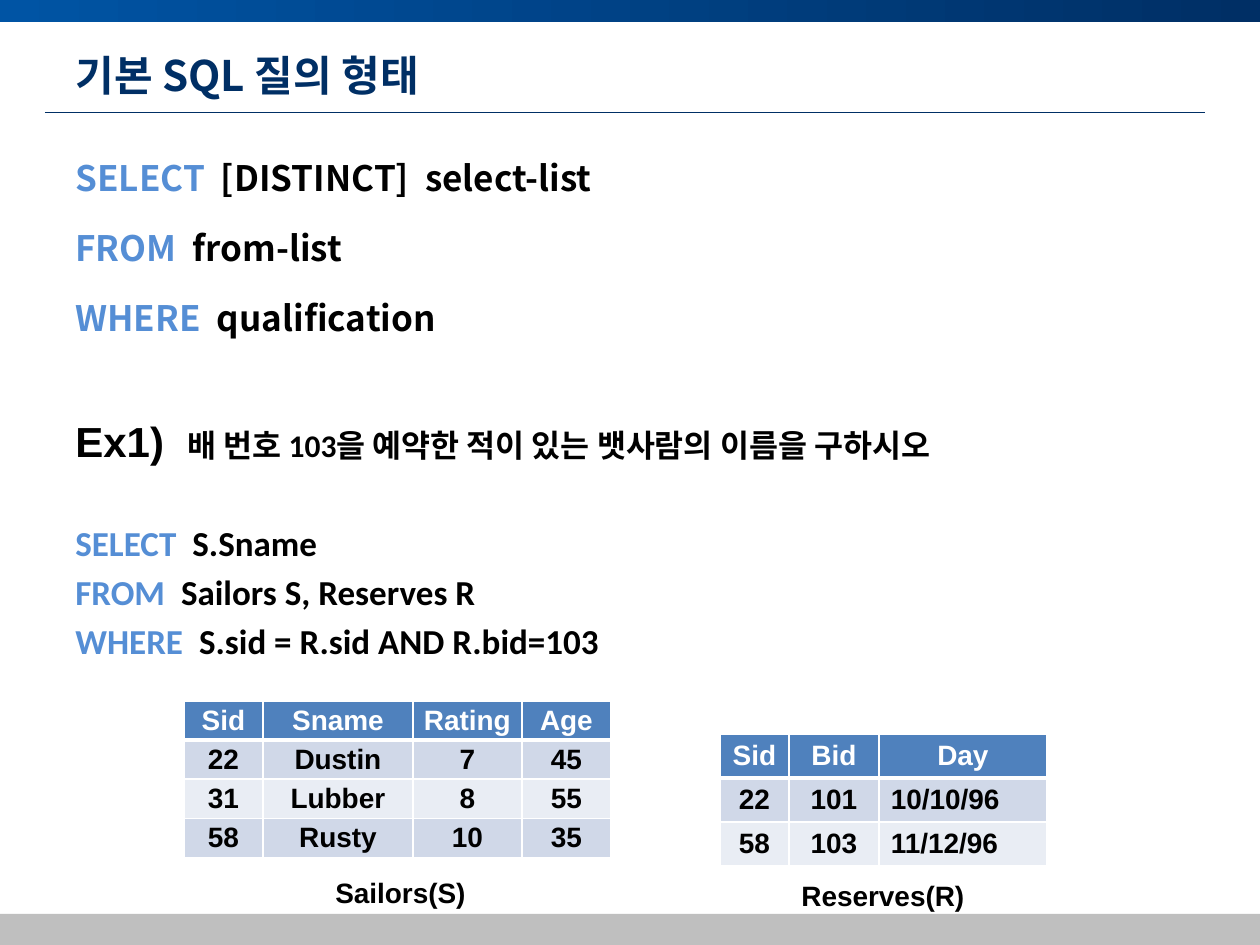
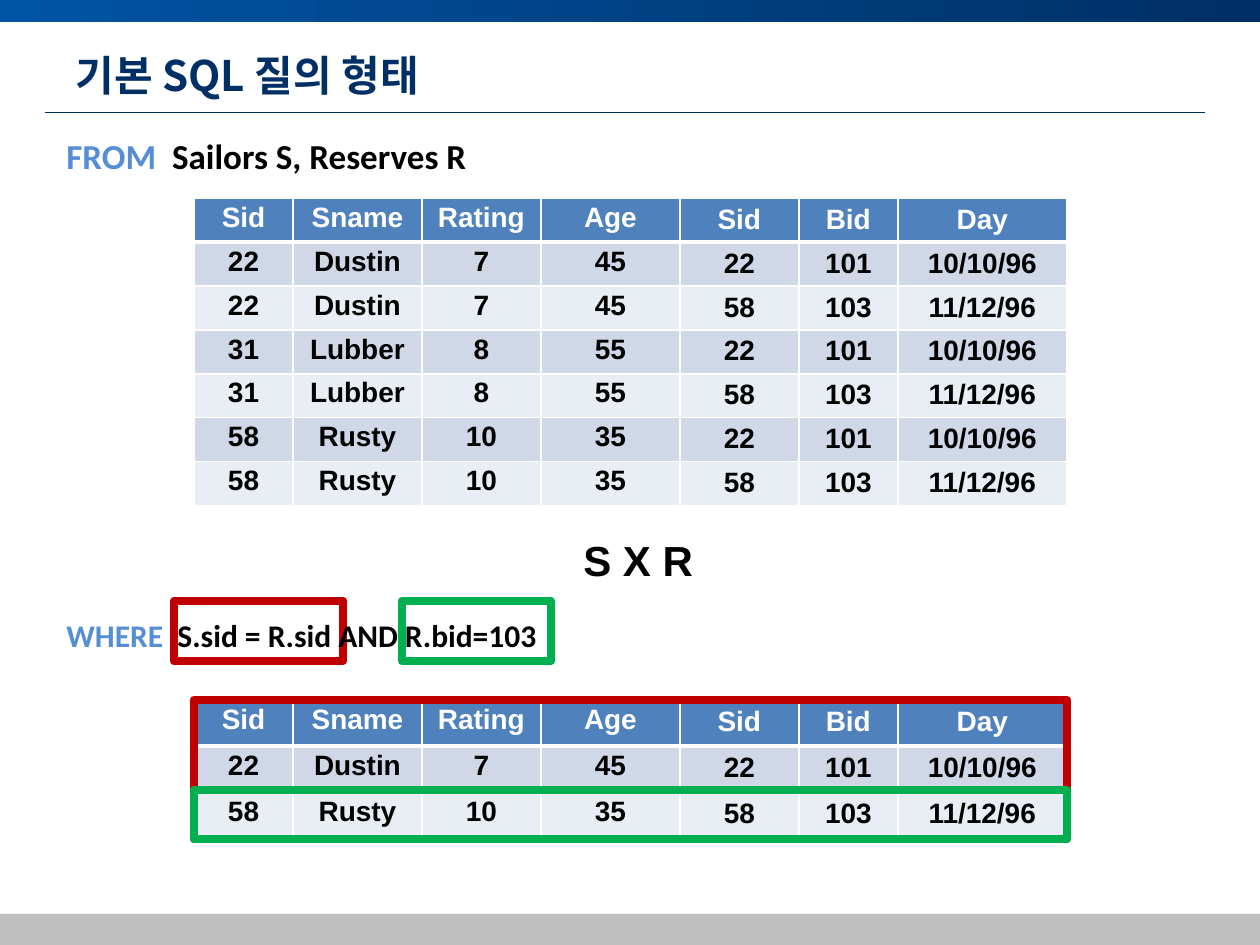
import pptx
import pptx.util
import pptx.dml.color
import pptx.enum.shapes
import pptx.enum.text
import pptx.oxml.ns
import lxml.etree

RGB = pptx.dml.color.RGBColor
NAVY = RGB(0x00, 0x2F, 0x65)
BLUE = RGB(0x00, 0x54, 0xA4)
KEYWORD = RGB(0x55, 0x8E, 0xD5)
HEADER = RGB(0x4F, 0x81, 0xBD)
BANDS = [RGB(0xE9, 0xED, 0xF4), RGB(0xD0, 0xD8, 0xE8)]
GRAY = RGB(0xBF, 0xBF, 0xBF)
RED = RGB(0xC0, 0x00, 0x00)
GREEN = RGB(0x00, 0xB0, 0x50)
BLACK = RGB(0, 0, 0)
WHITE = RGB(0xFF, 0xFF, 0xFF)
PIXEL = 914400 // 126
KOREAN = "Noto Sans CJK KR"
Pt = pptx.util.Pt
qn = pptx.oxml.ns.qn
ALIGN = pptx.enum.text.PP_ALIGN
RECTANGLE = pptx.enum.shapes.MSO_SHAPE.RECTANGLE


def add_span(para, text, size=16, font="Arial", color=BLACK):
    span = para.add_run()
    span.text = text
    span.font.size = Pt(size)
    span.font.bold = True
    span.font.name = font
    span.font.color.rgb = color
    lxml.etree.SubElement(span._r.get_or_add_rPr(), qn("a:ea"), typeface=KOREAN)


def add_grid(page, left, top, widths, row_height, rows, tight_columns, left_columns=()):
    frame = page.shapes.add_table(len(rows), len(widths), left * PIXEL, top * PIXEL,
                                  sum(widths) * PIXEL, row_height * len(rows) * PIXEL)
    grid = frame.table
    for column, width in zip(grid.columns, widths):
        column.width = width * PIXEL
    for row_index, row in enumerate(rows):
        grid.rows[row_index].height = row_height * PIXEL
        is_header = row_index == 0
        for column_index, text in enumerate(row):
            cell = grid.cell(row_index, column_index)
            tight = column_index < tight_columns
            cell.margin_left = cell.margin_right = (9 if tight else 12) * PIXEL
            cell.margin_top = cell.margin_bottom = (4 if tight else 6) * PIXEL
            para = cell.text_frame.paragraphs[0]
            is_left = column_index in left_columns and not is_header
            para.alignment = ALIGN.LEFT if is_left else ALIGN.CENTER
            add_span(para, text, color=WHITE if is_header else BLACK)
            properties = cell._tc.get_or_add_tcPr()
            for side in ("lnL", "lnR", "lnT", "lnB"):
                thick = (is_header and side == "lnB") or (row_index == 1 and side == "lnT")
                border = lxml.etree.SubElement(properties, qn("a:" + side), w=str(Pt(3 if thick else 1)))
                paint = lxml.etree.SubElement(border, qn("a:solidFill"))
                lxml.etree.SubElement(paint, qn("a:srgbClr"), val=str(WHITE))
            cell.fill.solid()
            cell.fill.fore_color.rgb = HEADER if is_header else BANDS[row_index % 2]


deck = pptx.Presentation()
deck.slide_width = 1260 * PIXEL
deck.slide_height = 945 * PIXEL
layout = deck.slide_layouts[5]
query_page, join_page = pages = [deck.slides.add_slide(layout) for _ in range(2)]

top_band = query_page.shapes.add_shape(RECTANGLE, 0, 0, 1260 * PIXEL, 22 * PIXEL)
top_band.fill.gradient()
top_band.fill.gradient_angle = 0
for stop, color, position in zip(top_band.fill.gradient_stops, (BLUE, NAVY), (0, 1)):
    stop.color.rgb = color
    stop.position = position
footer_band = query_page.shapes.add_shape(RECTANGLE, 0, 914 * PIXEL, 1260 * PIXEL, 31 * PIXEL)
footer_band.fill.solid()
footer_band.fill.fore_color.rgb = GRAY
for band in (top_band, footer_band):
    band.line.fill.background()
    band.shadow.inherit = False
rule = query_page.shapes.add_connector(pptx.enum.shapes.MSO_CONNECTOR.STRAIGHT,
                                       45 * PIXEL, 112 * PIXEL, 1205 * PIXEL, 112 * PIXEL)
rule.line.color.rgb = NAVY
rule.line.width = Pt(0.5)
lxml.etree.SubElement(rule.element.spPr, qn("a:effectLst"))
for shared in (top_band, rule, footer_band):
    layout.shapes.element.append(shared.element)

for page in pages:
    title = page.shapes.title
    title.left, title.top, title.width, title.height = [n * PIXEL for n in (63, 38, 1134, 73)]
    title.text_frame.vertical_anchor = pptx.enum.text.MSO_ANCHOR.MIDDLE
    para = title.text_frame.paragraphs[0]
    para.alignment = ALIGN.LEFT
    add_span(para, "기본 SQL 질의 형태", size=24, font=KOREAN, color=NAVY)

sailor_head = ["Sid", "Sname", "Rating", "Age"]
reserve_head = ["Sid", "Bid", "Day"]
sailors = [["22", "Dustin", "7", "45"], ["31", "Lubber", "8", "55"], ["58", "Rusty", "10", "35"]]
reserves = [["22", "101", "10/10/96"], ["58", "103", "11/12/96"]]
joined_head = sailor_head + reserve_head
product = [sailor + reserve for sailor in sailors for reserve in reserves]
matches = [row for row in product if row[0] == row[4]]
joined_widths = [99, 129, 119, 139, 119, 99, 169]

add_grid(query_page, 184, 701, [79, 150, 109, 89], 39, [sailor_head] + sailors, 4)
add_grid(query_page, 720, 734, [69, 90, 168], 44, [reserve_head] + reserves, 0, left_columns=(2,))
add_grid(join_page, 194, 198, joined_widths, 44, [joined_head] + product, 4)
add_grid(join_page, 194, 700, joined_widths, 46, [joined_head] + matches, 4)

for left, top, width, height, color in [
    (174, 601, 169, 60, RED),
    (194, 700, 873, 139, RED),
    (402, 601, 149, 60, GREEN),
    (194, 790, 873, 49, GREEN),
]:
    outline = join_page.shapes.add_shape(RECTANGLE, left * PIXEL, top * PIXEL, width * PIXEL, height * PIXEL)
    outline.fill.background()
    outline.line.color.rgb = color
    outline.line.width = Pt(5)
    outline.shadow.inherit = False

syntax = dict(size=20, font=KOREAN)
query = dict(size=20, font="Calibri")
condition = dict(size=18, font="Calibri")
keyword = dict(color=KEYWORD)
from_line = [("FROM  ", query | keyword), ("Sailors S, Reserves R", query)]
where_words = ["WHERE  ", "S.sid = R.sid AND R.bid=103"]
body = [
    (0, 40, [("SELECT", syntax | keyword), ("  [DISTINCT]  select-list", syntax)]),
    (0, 40, [("FROM  ", syntax | keyword), ("from-list", syntax)]),
    (0, 40, [("WHERE", syntax | keyword), ("  qualification", syntax)]),
    (33, 40, [("Ex1)  ", dict(size=24)),
              ("배 번호 103을 예약한 적이 있는 뱃사람의 이름을 구하시오", condition)]),
    (28, 28, [("SELECT  ", query | keyword), ("S.Sname", query)]),
    (0, 28, from_line),
    (0, 28, [(where_words[0], query | keyword), (where_words[1], query)]),
]
where_line = [(where_words[0], condition | keyword), (where_words[1], condition)]

for page, left, top, width, height, lines in [
    (query_page, 63, 122, 1134, 560, body),
    (query_page, 323, 869, 189, 46, [(0, None, [("Sailors(S)", {})])]),
    (query_page, 789, 872, 198, 46, [(0, None, [("Reserves(R)", {})])]),
    (join_page, 54, 121, 1143, 62, [(0, 28, from_line)]),
    (join_page, 571, 528, 169, 63, [(0, None, [("S X R", dict(size=24))])]),
    (join_page, 54, 610, 709, 50, [(0, None, where_line)]),
]:
    box = page.shapes.add_textbox(left * PIXEL, top * PIXEL, width * PIXEL, height * PIXEL)
    box.text_frame.word_wrap = True
    for index, (space, pitch, spans) in enumerate(lines):
        para = box.text_frame.add_paragraph() if index else box.text_frame.paragraphs[0]
        para.space_before = Pt(space)
        if pitch:
            para.line_spacing = Pt(pitch)
        for text, style in spans:
            add_span(para, text, **style)

deck.save("out.pptx")
